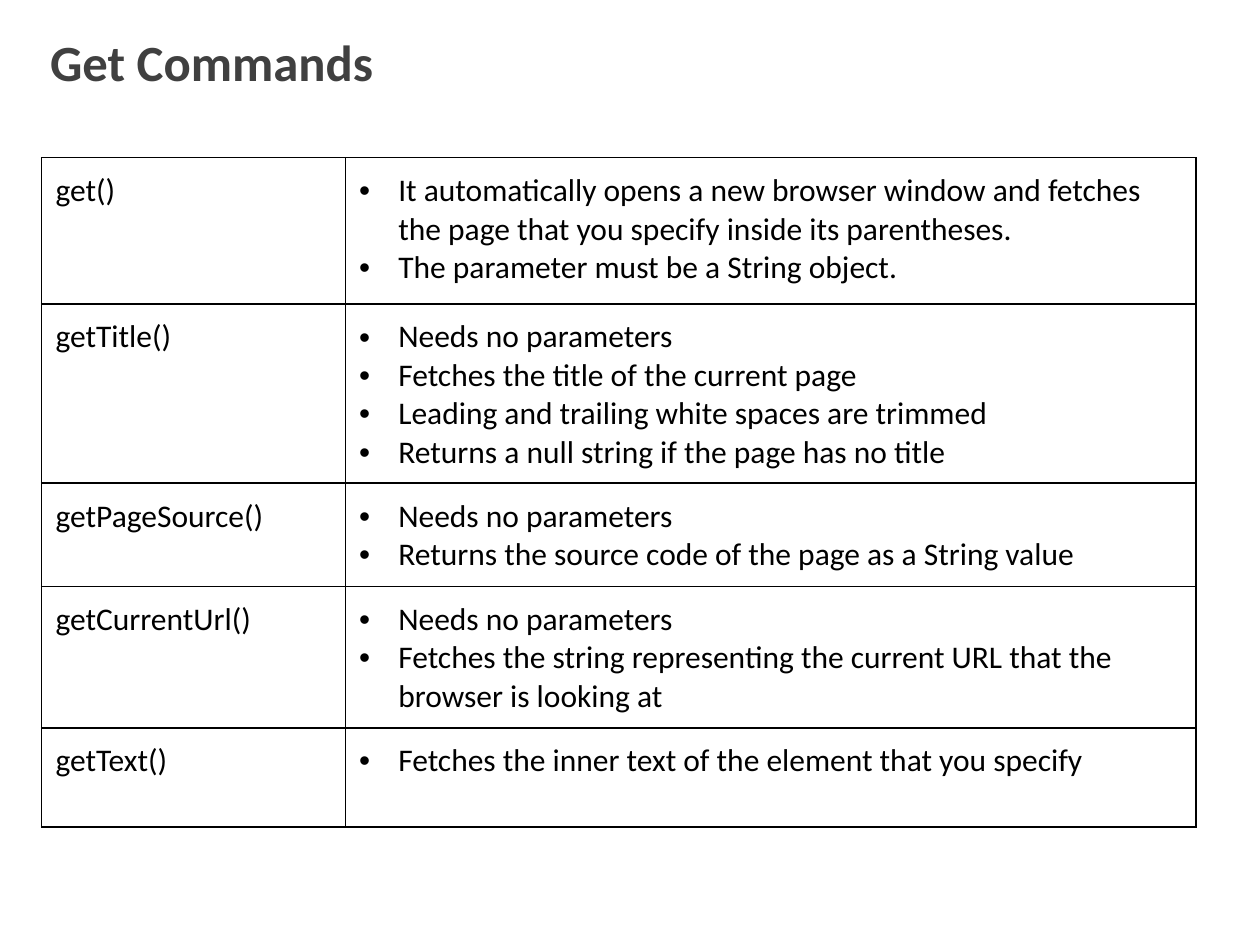
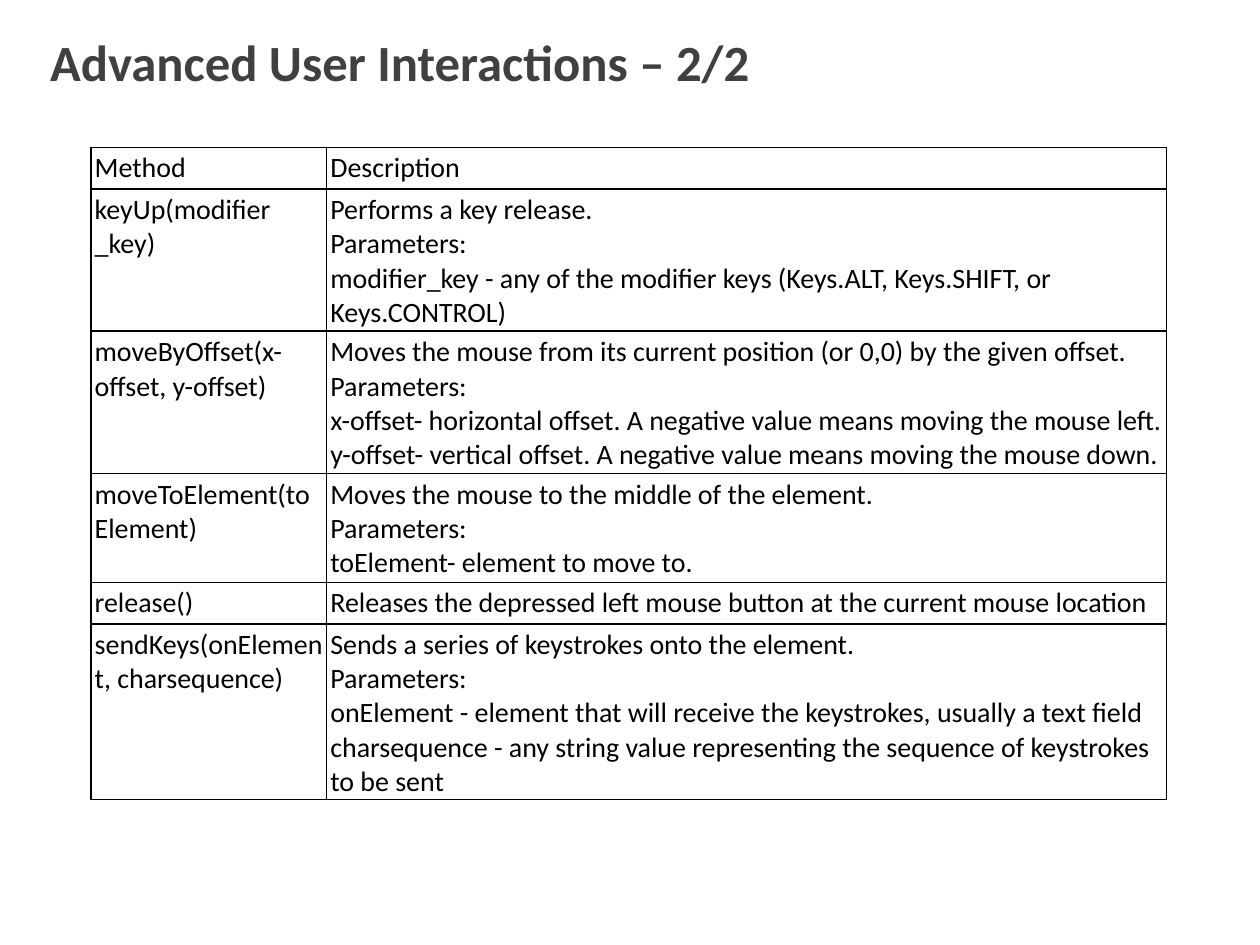
import pptx
import pptx.dml.color
import pptx.enum.text
import pptx.oxml
import pptx.oxml.ns
import pptx.util
from pptx.util import Cm

COLORS = {"title": "404040", "text": "000000", "border": "000000"}
FONT = "Calibri"
SLIDE_SIZE = Cm(25.4), Cm(19.05)
TITLE_BOX = Cm(0.76), Cm(0.43), Cm(23.77), Cm(1.6)
BULLET_INDENT = Cm(0.79)

# Each row: height in cm, method, lines of its description
GET_COMMANDS = [
    (2.95, "get()", [
        "It automatically opens a new browser window and fetches the page "
        "that you specify inside its parentheses.",
        "The parameter must be a String object."]),
    (3.45, "getTitle()", [
        "Needs no parameters",
        "Fetches the title of the current page",
        "Leading and trailing white spaces are trimmed",
        "Returns a null string if the page has no title"]),
    (2.0, "getPageSource()", [
        "Needs no parameters",
        "Returns the source code of the page as a String value"]),
    (2.72, "getCurrentUrl()", [
        "Needs no parameters",
        "Fetches the string representing the current URL that the browser is looking at"]),
    (2.0, "getText()", ["Fetches the inner text of the element that you specify"]),
]

INTERACTIONS = [
    (0.81, "Method", ["Description"]),
    (2.13, "keyUp(modifier _key)", [
        "Performs a key release.",
        "Parameters:",
        "modifier_key - any of the modifier keys (Keys.ALT, Keys.SHIFT, or Keys.CONTROL)"]),
    (2.82, "moveByOffset(x-offset, y-offset)", [
        "Moves the mouse from its current position (or 0,0) by the given offset.",
        "Parameters:",
        "x-offset- horizontal offset. A negative value means moving the mouse left.",
        "y-offset- vertical offset. A negative value means moving the mouse down."]),
    (2.13, "moveToElement(toElement)", [
        "Moves the mouse to the middle of the element.",
        "Parameters:",
        "toElement- element to move to."]),
    (0.81, "release()", [
        "Releases the depressed left mouse button at the current mouse location"]),
    (2.82, "sendKeys(onElement, charsequence)", [
        "Sends a series of keystrokes onto the element.",
        "Parameters:",
        "onElement - element that will receive the keystrokes, usually a text field",
        "charsequence - any string value representing the sequence of keystrokes to be sent"]),
]

SLIDES = [
    dict(title="Get Commands", methods=GET_COMMANDS, left=0.84, top=3.18,
         widths=(6.12, 17.15), inset=0.28, size=18, bullets=True),
    dict(title="Advanced User Interactions – 2/2", methods=INTERACTIONS, left=1.83, top=2.97,
         widths=(4.75, 16.94), inset=0.08, size=16, bullets=False),
]


def add_xml(parent, xml):
    parent.append(pptx.oxml.parse_xml(xml.replace(" ", f" {pptx.oxml.ns.nsdecls('a')} ", 1)))


def write(frame, lines, size, color="text", bold=False, bullets=False):
    """Fill a text frame with one paragraph per line."""
    frame.word_wrap = True
    for index, line in enumerate(lines):
        paragraph = frame.add_paragraph() if index else frame.paragraphs[0]
        run = paragraph.add_run()
        run.text = line
        run.font.name = FONT
        run.font.size = pptx.util.Pt(size)
        run.font.bold = bold
        run.font.color.rgb = pptx.dml.color.RGBColor.from_string(COLORS[color])
        if bullets:
            properties = paragraph._p.get_or_add_pPr()
            properties.set("marL", str(BULLET_INDENT))
            properties.set("indent", str(-BULLET_INDENT))
            add_xml(properties, '<a:buFont typeface="Arial"/>')
            add_xml(properties, '<a:buChar char="•"/>')


def style_cell(cell, inset):
    cell.margin_left = cell.margin_right = cell.margin_top = cell.margin_bottom = Cm(inset)
    properties = cell._tc.get_or_add_tcPr()
    for side in "LRTB":
        add_xml(properties, f'<a:ln{side} w="{pptx.util.Pt(1)}"><a:solidFill>'
                            f'<a:srgbClr val="{COLORS["border"]}"/></a:solidFill></a:ln{side}>')
    cell.fill.background()


def add_title(slide, title):
    frame = slide.shapes.add_textbox(*TITLE_BOX).text_frame
    frame.vertical_anchor = pptx.enum.text.MSO_ANCHOR.MIDDLE
    write(frame, [title], size=29, color="title", bold=True)


def add_methods(slide, methods, left, top, widths, inset, size, bullets):
    """Add the two-column table of methods and descriptions."""
    height = sum(row_height for row_height, _, _ in methods)
    table = slide.shapes.add_table(len(methods), len(widths), Cm(left), Cm(top),
                                   Cm(sum(widths)), Cm(height)).table
    table.first_row = table.horz_banding = False
    for column, width in zip(table.columns, widths):
        column.width = Cm(width)
    for row, (row_height, method, description) in zip(table.rows, methods):
        row.height = Cm(row_height)
        method_cell, description_cell = row.cells
        write(method_cell.text_frame, [method], size=size)
        write(description_cell.text_frame, description, size=size, bullets=bullets)
        for cell in row.cells:
            style_cell(cell, inset)


def main():
    deck = pptx.Presentation()
    deck.slide_width, deck.slide_height = SLIDE_SIZE
    for content in SLIDES:
        slide = deck.slides.add_slide(deck.slide_layouts[6])
        add_title(slide, content["title"])
        add_methods(slide, **{key: part for key, part in content.items() if key != "title"})
    deck.save("out.pptx")


if __name__ == "__main__":
    main()
